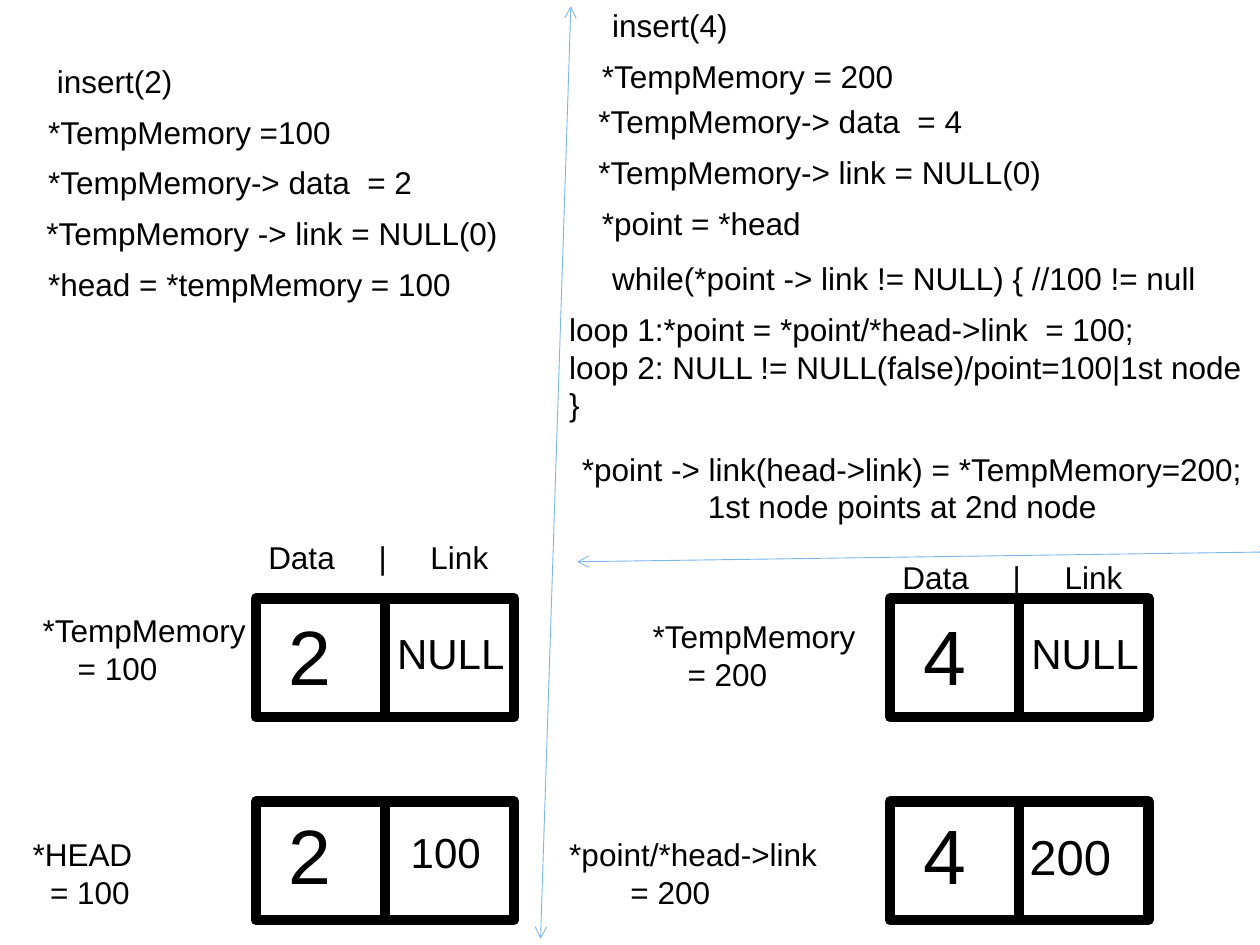
from lxml import etree
from pptx import Presentation
from pptx.dml.color import RGBColor
from pptx.enum.shapes import MSO_CONNECTOR, MSO_SHAPE
from pptx.oxml.ns import qn
from pptx.util import Pt

RECT = MSO_SHAPE.RECTANGLE
STRAIGHT = MSO_CONNECTOR.STRAIGHT
BLACK = RGBColor(0x00, 0x00, 0x00)
WHITE = RGBColor(0xFF, 0xFF, 0xFF)
BLUE = RGBColor(0x7D, 0xB6, 0xEF)
FONT = "Arial"
NODE_W, NODE_H = 147.6, 67.7
ROW_H = 29

# Each line: x and y offset in its panel, width, text
FIRST = [
    (6, 0, 171, "insert(2)"),
    (1, ROW_H, 215, "*TempMemory =100"),
    (1, 2 * ROW_H, 242, "*TempMemory-> data  = 2"),
    (0, 3 * ROW_H, 282, "*TempMemory -> link = NULL(0)"),
    (1, 4 * ROW_H, 253, "*head = *tempMemory = 100"),
]
SECOND = [
    (24.5, 0, 171, "insert(4)"),
    (18.7, 29, 222, "*TempMemory = 200"),
    (16.6, 54.7, 242, "*TempMemory-> data  = 4"),
    (16.6, 83.7, 274, "*TempMemory-> link = NULL(0)"),
    (18.7, 113, 269, "*point = *head"),
    (24.5, 144.5, 361, "while(*point -> link != NULL) { //100 != null"),
    (0, 173.5, 405, "loop 1:*point = *point/*head->link  = 100;\n"
                    "loop 2: NULL != NULL(false)/point=100|1st node\n}"),
]


def write(slide, left, top, width, text, size=18, indent=0):
    """Add a text box; indent applies to every line after the first."""
    lines = text.split("\n")
    box = slide.shapes.add_textbox(
        Pt(left), Pt(top), Pt(width), Pt(len(lines) * size * 1.2 + 7.2))
    frame = box.text_frame
    frame.word_wrap = True
    frame.text = text
    for i, para in enumerate(frame.paragraphs):
        para.font.name = FONT
        para.font.size = Pt(size)
        para.font.color.rgb = BLACK
        if i and indent:
            para._p.get_or_add_pPr().set("marL", str(Pt(indent)))
    return frame


def draw_line(slide, start, end, color, width, arrows=False):
    line = slide.shapes.add_connector(
        STRAIGHT, *(Pt(v) for v in (*start, *end)))
    line.line.color.rgb = color
    line.line.width = Pt(width)
    if arrows:
        for tag in ("a:headEnd", "a:tailEnd"):
            etree.SubElement(line.line._get_or_add_ln(), qn(tag), type="arrow")
    etree.SubElement(line._element.spPr, qn("a:effectLst"))


def add_code(slide, left, top, lines):
    for x, y, width, text in lines:
        write(slide, left + x, top + y, width, text)


def add_heads(slide, left, top):
    """Column heads above a node, spaced by tab stops."""
    para = write(slide, left, top, 156, "Data\t|\tLink").paragraphs[0]
    props = para._p.get_or_add_pPr()
    tabs = etree.Element(qn("a:tabLst"))
    for stop in (63, 92.7):
        etree.SubElement(tabs, qn("a:tab"), pos=str(Pt(stop)), algn="l")
    props.insert(0, tabs)


def add_node(slide, left, top, data, link, data_y, link_at, size=24):
    """Draw a two-cell list node; data_y and link_at are offsets in it."""
    box = slide.shapes.add_shape(
        RECT, Pt(left), Pt(top), Pt(NODE_W), Pt(NODE_H))
    box.shadow.inherit = False
    box.fill.solid()
    box.fill.fore_color.rgb = WHITE
    box.line.color.rgb = BLACK
    box.line.width = Pt(6)
    mid = left + NODE_W / 2
    draw_line(slide, (mid, top), (mid, top + NODE_H), BLACK, 6)
    write(slide, left + 11.8, top + data_y, 57, data, 44)
    x, y = link_at
    write(slide, left + x, top + y, 82, link, size)


def add_nodes(slide, left, data, link, link_x, size):
    """Stack the new node over the linked node."""
    add_node(slide, left, 342, data, "NULL", 2.2, (73.6, 13))
    add_node(slide, left, 458, data, link, 0, (link_x, 10.8), size)


def main():
    deck = Presentation()
    deck.slide_width, deck.slide_height = Pt(720), Pt(540)
    slide = deck.slides.add_slide(deck.slide_layouts[6])

    add_code(slide, 19.4, 31.8, FIRST)
    add_code(slide, 318.2, 0, SECOND)
    write(slide, 325.4, 253.4, 401,
          "*point -> link(head->link) = *TempMemory=200;\n"
          "1st node points at 2nd node", indent=72)

    add_nodes(slide, 146.2, "2", "100", 81.4, 24)
    add_nodes(slide, 508.6, "4", "200", 72.5, 28)
    add_heads(slide, 146.2, 304)
    add_heads(slide, 508.6, 315.4)
    write(slide, 17.3, 345.6, 137, "*TempMemory\n= 100", indent=20)
    write(slide, 11.5, 473.8, 120, "*HEAD\n= 100", indent=10)
    write(slide, 365.8, 349.2, 137, "*TempMemory\n= 200", indent=20)
    write(slide, 318.2, 473.8, 190, "*point/*head->link\n= 200", indent=35)

    draw_line(slide, (329.8, 321), (726.5, 315.4), BLUE, 0.5, arrows=True)
    draw_line(slide, (326.2, 3.6), (308.9, 536.4), BLUE, 0.5, arrows=True)
    deck.save("out.pptx")


if __name__ == "__main__":
    main()
